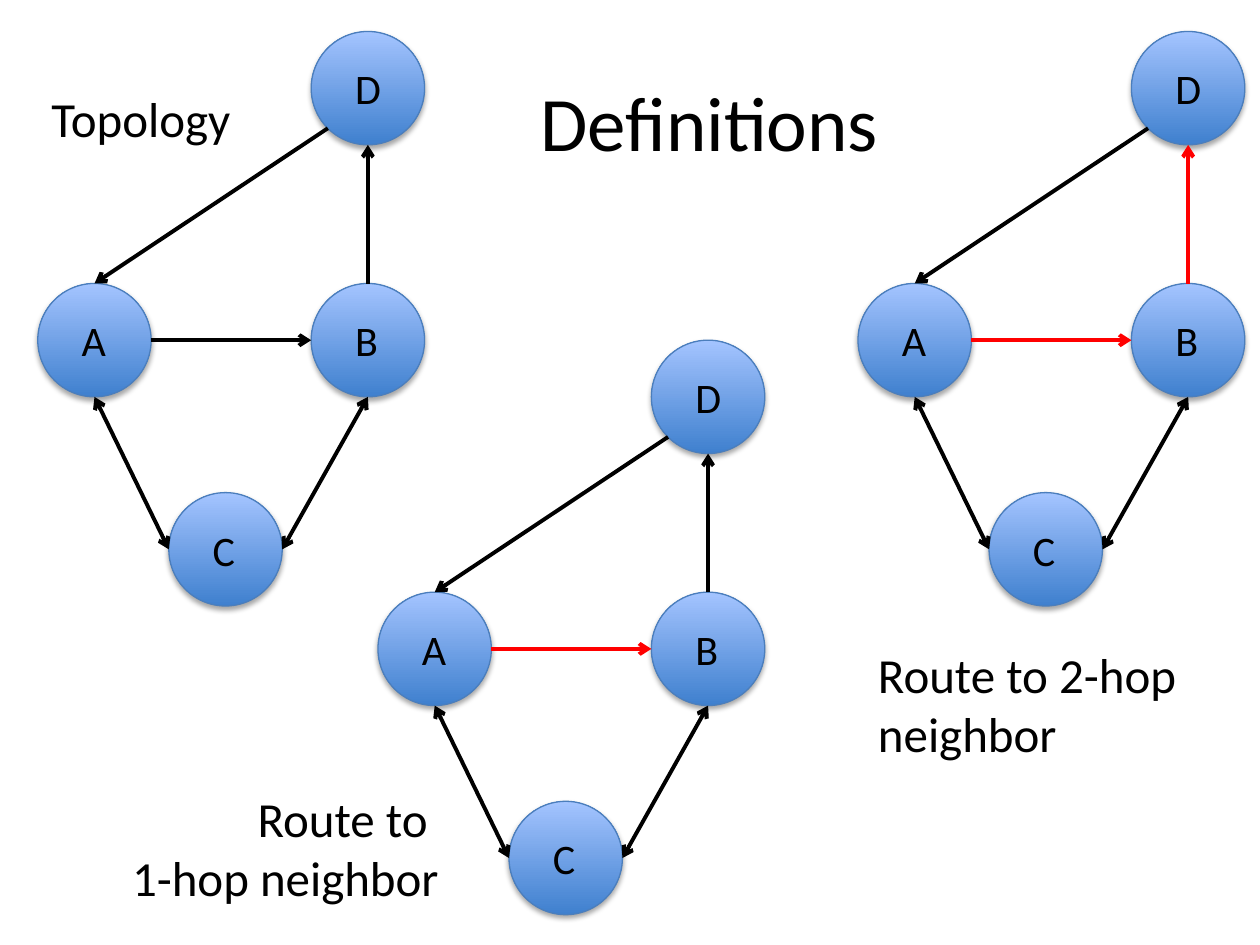
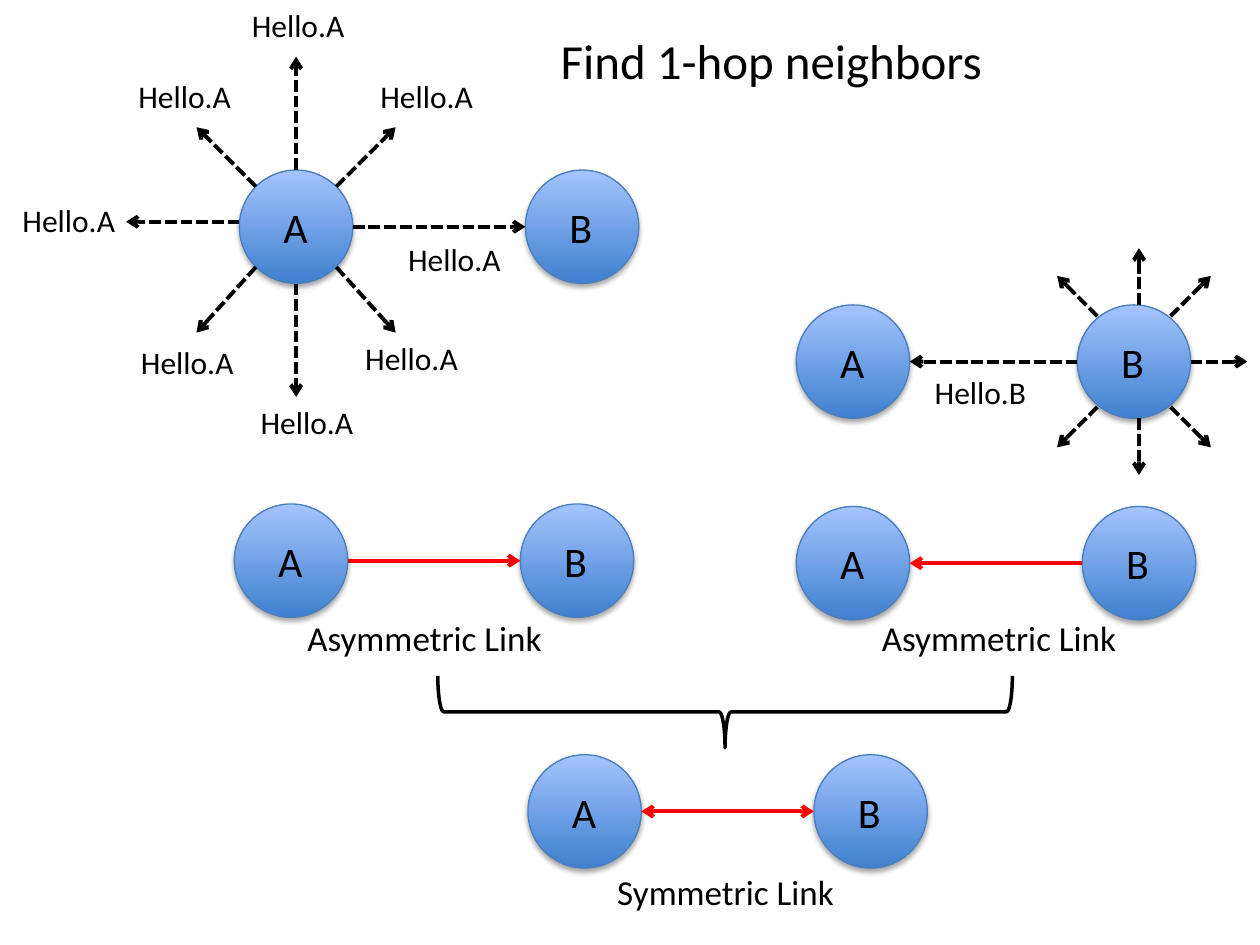
from collections import namedtuple
from math import cos, radians, sin

from lxml.etree import SubElement
from pptx import Presentation
from pptx.dml.color import RGBColor
from pptx.enum.dml import MSO_LINE
from pptx.enum.shapes import MSO_CONNECTOR, MSO_SHAPE
from pptx.enum.text import MSO_ANCHOR, MSO_AUTO_SIZE, PP_ALIGN
from pptx.oxml.ns import qn
from pptx.util import Inches, Pt

# The grid has 10 columns and 7.5 rows; every length below is in grid units.
COLUMNS, ROWS = 10, 7.5
SLIDE_WIDTH, SLIDE_HEIGHT = Inches(10), Inches(7.5)
UNIT = SLIDE_WIDTH / COLUMNS

FONT = "Calibri"
BLACK, RED = "000000", "FF0000"
NODE_DARK, NODE_LIGHT, NODE_EDGE = "3F80CE", "A4C4FF", "4B7EBC"
DIAMETER = 0.9
RADIUS = DIAMETER / 2
RIGHT, DOWN, DOWN_LEFT, LEFT, UP = 0, 90, 135, 180, 270

NODE_PLACES = {"A": (0, 2), "B": (2.17, 2), "C": (1.04, 3.66), "D": (2.17, 0)}
NETWORK_LINKS = [
    ("A", DOWN, "C", LEFT, True),
    ("B", UP, "D", DOWN, False),
    ("A", RIGHT, "B", LEFT, False),
    ("C", RIGHT, "B", DOWN, True),
    ("D", DOWN_LEFT, "A", UP, False),
]
HELLO_PLACES = [
    (1.9, 0), (1.97, 3.15), (3.14, 1.86), (0.08, 1.55),
    (2.92, 0.56), (1, 0.56), (2.8, 2.64), (1.02, 2.67),
]


class Node(namedtuple("Node", "x y")):
    """Centre of a drawn node."""

    def rim(self, angle):
        """Point on the circle, clockwise in degrees from the right."""
        turn = radians(angle)
        return self.x + RADIUS * cos(turn), self.y + RADIUS * sin(turn)


def colour(value):
    return RGBColor.from_string(value)


def grid(*lengths):
    return [round(length * UNIT) for length in lengths]


def style_text(frame, lines, size, align=PP_ALIGN.LEFT):
    frame.text = "\n".join(lines)
    for paragraph in frame.paragraphs:
        paragraph.alignment = align
        paragraph.font.name = FONT
        paragraph.font.size = Pt(size)
        paragraph.font.color.rgb = colour(BLACK)


def add_label(shapes, box, lines, size, align=PP_ALIGN.LEFT):
    frame = shapes.add_textbox(*grid(*box)).text_frame
    frame.word_wrap = False
    frame.auto_size = MSO_AUTO_SIZE.SHAPE_TO_FIT_TEXT
    style_text(frame, lines, size, align)


def set_title(slide, box, text, size, align):
    title = slide.shapes.title
    title.left, title.top, title.width, title.height = grid(*box)
    title.text_frame.vertical_anchor = MSO_ANCHOR.MIDDLE
    style_text(title.text_frame, [text], size, align)


def add_node(slide, name, left, top):
    """Draw a shaded circle with its letter, grouped, and return its Node."""
    shapes = slide.shapes.add_group_shape().shapes
    circle = shapes.add_shape(MSO_SHAPE.OVAL, *grid(left, top, DIAMETER, DIAMETER))
    circle.fill.gradient()
    circle.fill.gradient_angle = 90
    for stop, shade in zip(circle.fill.gradient_stops, (NODE_DARK, NODE_LIGHT)):
        stop.color.rgb = colour(shade)
    circle.line.color.rgb = colour(NODE_EDGE)
    circle.line.width = Pt(0.75)
    circle.shadow.inherit = False
    effects = circle._element.spPr.find(qn("a:effectLst"))
    shadow = SubElement(effects, qn("a:outerShdw"), blurRad=str(Pt(3.1)),
                        dist=str(Pt(1.8)), dir="5400000", rotWithShape="0")
    black = SubElement(shadow, qn("a:srgbClr"), val=BLACK)
    SubElement(black, qn("a:alpha"), val="35000")
    add_label(shapes, (left + 0.25, top + 0.2, 0.44, 0.5), [name], 24)
    return Node(left + RADIUS, top + RADIUS)


def add_arrow(slide, start, end, shade=BLACK, both=False, dashed=False):
    connector = slide.shapes.add_connector(MSO_CONNECTOR.STRAIGHT, *grid(*start, *end))
    connector.line.color.rgb = colour(shade)
    connector.line.width = Pt(2.25)
    if dashed:
        connector.line.dash_style = MSO_LINE.SQUARE_DOT
    properties = connector._element.spPr
    outline = properties.find(qn("a:ln"))
    for tip in ("a:headEnd", "a:tailEnd") if both else ("a:tailEnd",):
        SubElement(outline, qn(tip), type="arrow")
    SubElement(properties, qn("a:effectLst"))


def add_network(slide, left, top, route=()):
    """Draw the four-node network; links named in route are red."""
    nodes = {name: add_node(slide, name, left + x, top + y)
             for name, (x, y) in NODE_PLACES.items()}
    for source, leave, target, arrive, both in NETWORK_LINKS:
        shade = RED if source + target in route else BLACK
        add_arrow(slide, nodes[source].rim(leave), nodes[target].rim(arrive), shade, both)


def add_broadcast(slide, node, side, reach, shift, start, run, rises):
    """Draw dashed rays up, down, to one side and along the diagonals.

    shift moves the upright rays across and the level ray down; start, run and
    rises (up, down) give the diagonal rays.
    """
    shift_x, shift_y = shift
    for angle in (UP, DOWN, side):
        across, along = round(cos(radians(angle))), round(sin(radians(angle)))
        x, y = node.rim(angle)
        x, y = x + shift_x * abs(along), y + shift_y * abs(across)
        add_arrow(slide, (x, y), (x + reach * across, y + reach * along), dashed=True)
    for across in (-1, 1):
        for along, rise in zip((-1, 1), rises):
            x, y = node.x + across * start[0], node.y + along * start[1]
            add_arrow(slide, (x, y), (x + across * run, y + along * rise), dashed=True)


def add_pair(slide, left, top, gap=2.27):
    """Draw nodes A and B side by side."""
    return add_node(slide, "A", left, top), add_node(slide, "B", left + gap, top)


def add_link(slide, left, top, caption, caption_box, forward=True, both=False):
    """Draw a pair joined by a red arrow, with a caption below."""
    node_a, node_b = add_pair(slide, left, top)
    ends = node_a.rim(RIGHT), node_b.rim(LEFT)
    add_arrow(slide, *(ends if forward else ends[::-1]), RED, both)
    add_label(slide.shapes, caption_box, [caption], 20)


def add_brace(slide, box):
    brace = slide.shapes.add_shape(MSO_SHAPE.LEFT_BRACE, *grid(*box))
    brace.rotation = 270
    brace.fill.background()
    brace.line.color.rgb = colour(BLACK)
    brace.line.width = Pt(2)
    brace.shadow.inherit = False


def build_definitions(slide):
    set_title(slide, (1.13, 0.33, 9, 1.25), "Definitions", 44, PP_ALIGN.CENTER)
    add_network(slide, 0.3, 0.25)
    add_network(slide, 6.81, 0.25, route=("AB", "BD"))
    add_network(slide, 3, 2.7, route=("AB",))
    add_label(slide.shapes, (0.31, 0.65, 1.77, 0.57), ["Topology"], 28)
    add_label(slide.shapes, (0.73, 6.21, 2.85, 1.04),
              ["Route to ", "1-hop neighbor"], 28, PP_ALIGN.RIGHT)
    add_label(slide.shapes, (6.87, 5.07, 2.8, 1.04), ["Route to 2-hop", "neighbor"], 28)


def build_neighbors(slide):
    set_title(slide, (4.35, 0.19, 3.91, 0.57), "Find 1-hop neighbors", 28, PP_ALIGN.LEFT)
    slide.shapes.title.text_frame.word_wrap = False

    sender, receiver = add_pair(slide, 1.9, 1.35)
    add_arrow(slide, sender.rim(RIGHT), receiver.rim(LEFT), dashed=True)
    add_broadcast(slide, sender, LEFT, reach=0.9, shift=(0, -0.04),
                  start=(0.32, 0.32), run=0.47, rises=(0.47, 0.52))
    for place in HELLO_PLACES:
        add_label(slide.shapes, (*place, 1.02, 0.4), ["Hello.A"], 18)

    receiver, sender = add_pair(slide, 6.32, 2.42, gap=2.23)
    add_arrow(slide, sender.rim(LEFT), receiver.rim(RIGHT), dashed=True)
    add_broadcast(slide, sender, RIGHT, reach=0.45, shift=(0.04, 0),
                  start=(0.29, 0.36), run=0.32, rises=(0.32, 0.32))
    add_label(slide.shapes, (7.32, 2.91, 1.02, 0.4), ["Hello.B"], 18)

    add_link(slide, 1.86, 4, "Asymmetric Link", (2.34, 4.84, 2.28, 0.44))
    add_link(slide, 6.32, 4.02, "Asymmetric Link", (6.9, 4.84, 2.28, 0.44), forward=False)
    add_brace(slide, (5.47, 3.37, 0.57, 4.56))
    add_link(slide, 4.19, 5.99, "Symmetric Link", (4.8, 6.86, 2.12, 0.44), both=True)


def main():
    presentation = Presentation()
    presentation.slide_width, presentation.slide_height = SLIDE_WIDTH, SLIDE_HEIGHT
    title_only = presentation.slide_layouts[5]
    for build in (build_definitions, build_neighbors):
        build(presentation.slides.add_slide(title_only))
    presentation.save("out.pptx")


if __name__ == "__main__":
    main()
